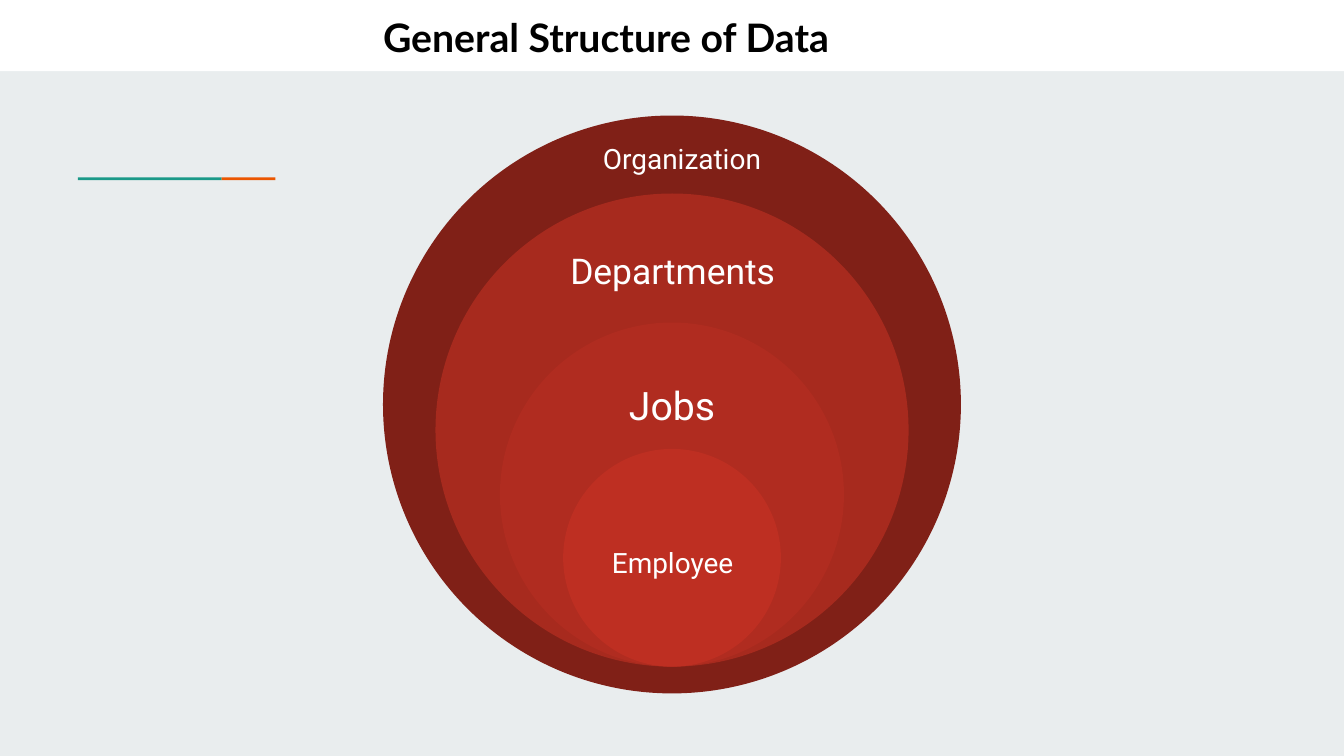
"""Build a slide of nested circles showing the general structure of data."""
from typing import NamedTuple

from pptx import Presentation
from pptx.dml.color import RGBColor
from pptx.enum.shapes import MSO_SHAPE
from pptx.enum.text import MSO_ANCHOR, MSO_AUTO_SIZE, PP_ALIGN
from pptx.util import Inches, Pt

RECT, OVAL = MSO_SHAPE.RECTANGLE, MSO_SHAPE.OVAL
TOP, MIDDLE = MSO_ANCHOR.TOP, MSO_ANCHOR.MIDDLE
LEFT, CENTER = PP_ALIGN.LEFT, PP_ALIGN.CENTER
NO_FIT = MSO_AUTO_SIZE.NONE
TITLE_ONLY = 5
SLIDE_W = 10
SLIDE_H = SLIDE_W * 9 / 16
CENTER_X = SLIDE_W / 2

COLORS = {
    "background": "E9EDEE",
    "white": "FFFFFF",
    "black": "000000",
    "teal": "1A9988",
    "orange": "EB5600",
    "organization": "802017",
    "departments": "A72A1E",
    "jobs": "B02C20",
    "employee": "BE2F22",
}


class Box(NamedTuple):
    left: float
    top: float
    width: float
    height: float


class Level(NamedTuple):
    name: str
    diameter: float
    bottom: float
    label: Box
    size: int


BARS = [
    ("white", Box(0, 0, SLIDE_W, 0.53)),
    ("teal", Box(0.58, 1.32, 1.07, 0.02)),
    ("orange", Box(1.65, 1.32, 0.4, 0.02)),
]

LEVELS = [
    Level("Organization", 4.3, 5.16, Box(4.02, 0.8, 2.11, 0.75), 15),
    Level("Departments", 3.52, 4.96, Box(4.14, 1.7, 1.73, 0.62), 19),
    Level("Jobs", 2.56, 4.96, Box(4.19, 2.72, 1.62, 0.58), 21),
    Level("Employee", 1.62, 4.96, Box(4.33, 3.83, 1.35, 0.71), 15),
]


def rgb(name: str) -> RGBColor:
    return RGBColor.from_string(COLORS[name])


def lengths(box: Box) -> list[int]:
    return [Inches(v) for v in box]


def add_shape(s, kind: MSO_SHAPE, box: Box, color: str) -> None:
    sp = s.shapes.add_shape(kind, *lengths(box))
    sp.shadow.inherit = False
    sp.fill.solid()
    sp.fill.fore_color.rgb = rgb(color)
    sp.line.fill.background()


def write(sp, text: str, *, size: int, font: str = "Roboto", color: str = "white",
          bold: bool = False, align: PP_ALIGN = CENTER,
          anchor: MSO_ANCHOR = MIDDLE, wrap: bool = True) -> None:
    tf = sp.text_frame
    tf.word_wrap = wrap
    tf.auto_size = NO_FIT
    tf.vertical_anchor = anchor
    tf.margin_left = tf.margin_right = tf.margin_top = tf.margin_bottom = Inches(0.1)
    p = tf.paragraphs[0]
    p.alignment = align
    p.line_spacing = 1.0
    r = p.add_run()
    r.text = text
    r.font.name = font
    r.font.size = Pt(size)
    r.font.bold = bold
    r.font.color.rgb = rgb(color)


def add_level(s, level: Level) -> None:
    d = level.diameter
    circle = Box(CENTER_X - d / 2, level.bottom - d, d, d)
    add_shape(s, OVAL, circle, level.name.lower())
    sp = s.shapes.add_textbox(*lengths(level.label))
    write(sp, level.name, size=level.size, wrap=False)


def add_title(s, text: str, box: Box) -> None:
    sp = s.shapes.title
    sp.left, sp.top, sp.width, sp.height = lengths(box)
    write(sp, text, size=21, font="Lato", color="black", bold=True,
          align=LEFT, anchor=TOP)
    s.shapes._spTree.append(sp._element)


def main() -> None:
    prs = Presentation()
    prs.slide_width, prs.slide_height = Inches(SLIDE_W), Inches(SLIDE_H)
    s = prs.slides.add_slide(prs.slide_layouts[TITLE_ONLY])
    s.background.fill.solid()
    s.background.fill.fore_color.rgb = rgb("background")
    for color, box in BARS:
        add_shape(s, RECT, box, color)
    for level in LEVELS:
        add_level(s, level)
    add_title(s, "General Structure of Data", Box(2.75, 0, 7.07, 0.56))
    prs.save("out.pptx")


if __name__ == "__main__":
    main()
